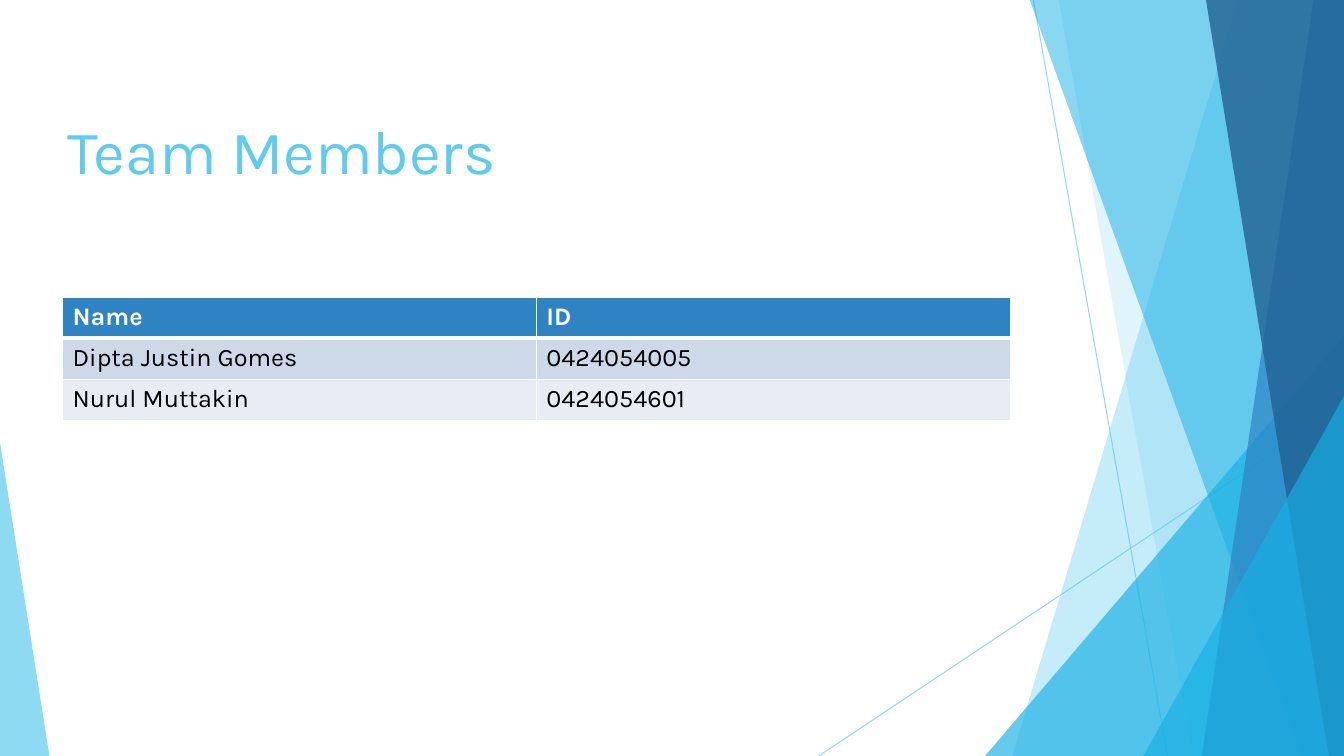
import dataclasses

import lxml.etree
import pptx
import pptx.dml.color
import pptx.enum.shapes
import pptx.enum.text
import pptx.oxml
import pptx.oxml.ns
import pptx.util

Inches = pptx.util.Inches
Pt = pptx.util.Pt
qn = pptx.oxml.ns.qn


@dataclasses.dataclass(frozen=True)
class Theme:
    font: str = "Karla"
    title_size: int = 44
    table_size: int = 18
    sky: str = "5FCBEF"
    cyan: str = "17B0E4"
    blue: str = "2E83C3"
    navy: str = "226292"
    white: str = "FFFFFF"
    black: str = "000000"
    rows: tuple = ("2E83C3", "CDD9E9", "E8EDF5")


theme = Theme()


def paint(fill, color, opacity=100):
    fill.solid()
    fill.fore_color.rgb = pptx.dml.color.RGBColor.from_string(color)
    if opacity < 100:
        srgb = fill._xPr.find(".//" + qn("a:srgbClr"))
        lxml.etree.SubElement(srgb, qn("a:alpha"), val=str(opacity * 1000))


def write(frame, text, size, color, bold=False, anchor=pptx.enum.text.MSO_ANCHOR.TOP):
    frame.text = text
    frame.word_wrap = True
    frame.vertical_anchor = anchor
    paragraph = frame.paragraphs[0]
    paragraph.alignment = pptx.enum.text.PP_ALIGN.LEFT
    font = paragraph.runs[0].font
    font.name = theme.font
    font.size = Pt(size)
    font.bold = bold
    font.color.rgb = pptx.dml.color.RGBColor.from_string(color)


deck = pptx.Presentation()
deck.slide_width = Inches(13.33)
deck.slide_height = Inches(7.5)
slide = deck.slides.add_slide(deck.slide_layouts[5])
shapes = slide.shapes
paint(slide.background.fill, theme.white)

for x1, y1, x2, y2 in [(10.25, 0, 11.58, 7.5), (13.33, 4.03, 8.12, 7.5)]:
    ray = shapes.add_connector(
        pptx.enum.shapes.MSO_CONNECTOR.STRAIGHT, Inches(x1), Inches(y1), Inches(x2), Inches(y2))
    ray.line.width = Pt(0.75)
    paint(ray.line.fill, theme.sky, 70)
    lxml.etree.SubElement(ray._element.spPr, qn("a:effectLst"))

bands = [
    ("band", (12.28, 10.04), theme.sky, 36),
    ("band", (10.5, 11.83), theme.sky, 20),
    ("triangle", (9.77, 3.33, 3.56, 1), theme.cyan, 66),
    ("band", (10.21, 12.91), theme.cyan, 50),
    ("band", (13.03, 11.92), theme.blue, 70),
    ("band", (11.96, 13.18), theme.navy, 80),
    ("triangle", (11.34, 3.93, 1.99, 1), theme.cyan, 66),
    ("triangle", (0, 4.39, 0.49, 0), theme.sky, 70),
]
for kind, geometry, color, opacity in bands:
    if kind == "band":
        top_x, bottom_x = geometry
        outline = shapes.build_freeform(Inches(top_x), Inches(-0.01))
        corners = [(13.33, -0.01), (13.33, 7.5), (bottom_x, 7.5)]
        outline.add_line_segments([(Inches(x), Inches(y)) for x, y in corners], close=True)
        facet = outline.convert_to_shape()
    else:
        left, top, width, apex = geometry
        facet = shapes.add_shape(
            pptx.enum.shapes.MSO_SHAPE.ISOSCELES_TRIANGLE,
            Inches(left), Inches(top), Inches(width), Inches(7.5 - top))
        facet.adjustments[0] = apex
    facet.shadow.inherit = False
    facet.line.fill.background()
    paint(facet.fill, color, opacity)

title = shapes.title
title.left, title.top = Inches(0.57), Inches(1.07)
title.width, title.height = Inches(9.5), Inches(1.6)
write(title.text_frame, "Team Members", size=theme.title_size, color=theme.sky)
shapes._spTree.append(title._element)

members = [
    ("Name", "ID"),
    ("Dipta Justin Gomes", "0424054005"),
    ("Nurul Muttakin", "0424054601"),
]
roster = shapes.add_table(
    len(members), 2, Inches(0.62), Inches(2.95), Inches(9.4), Inches(1.22)).table
for column in roster.columns:
    column.width = Inches(4.7)
for row_index, member in enumerate(members):
    header = row_index == 0
    roster.rows[row_index].height = Inches(1.22 / len(members))
    for column_index, entry in enumerate(member):
        cell = roster.cell(row_index, column_index)
        write(cell.text_frame, entry, size=theme.table_size, bold=header,
              color=theme.white if header else theme.black)
        properties = cell._tc.get_or_add_tcPr()
        for side in ("lnL", "lnR", "lnT", "lnB"):
            thick = (header and side == "lnB") or (row_index == 1 and side == "lnT")
            border = lxml.etree.SubElement(
                properties, qn("a:" + side), w=str(Pt(3 if thick else 1)))
            solid = lxml.etree.SubElement(border, qn("a:solidFill"))
            lxml.etree.SubElement(solid, qn("a:srgbClr"), val=theme.white)
        paint(cell.fill, theme.rows[row_index])

deck.save("out.pptx")
